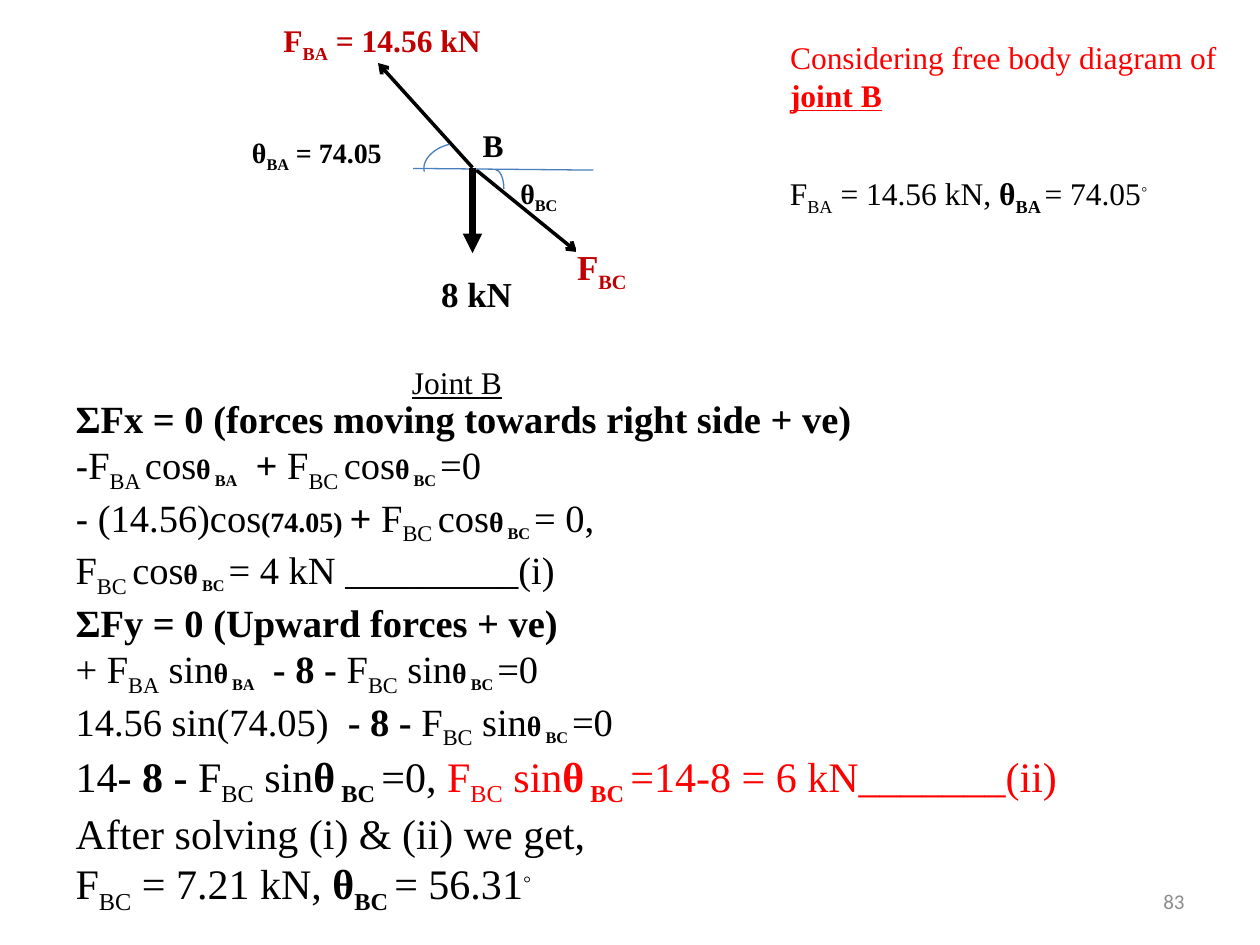
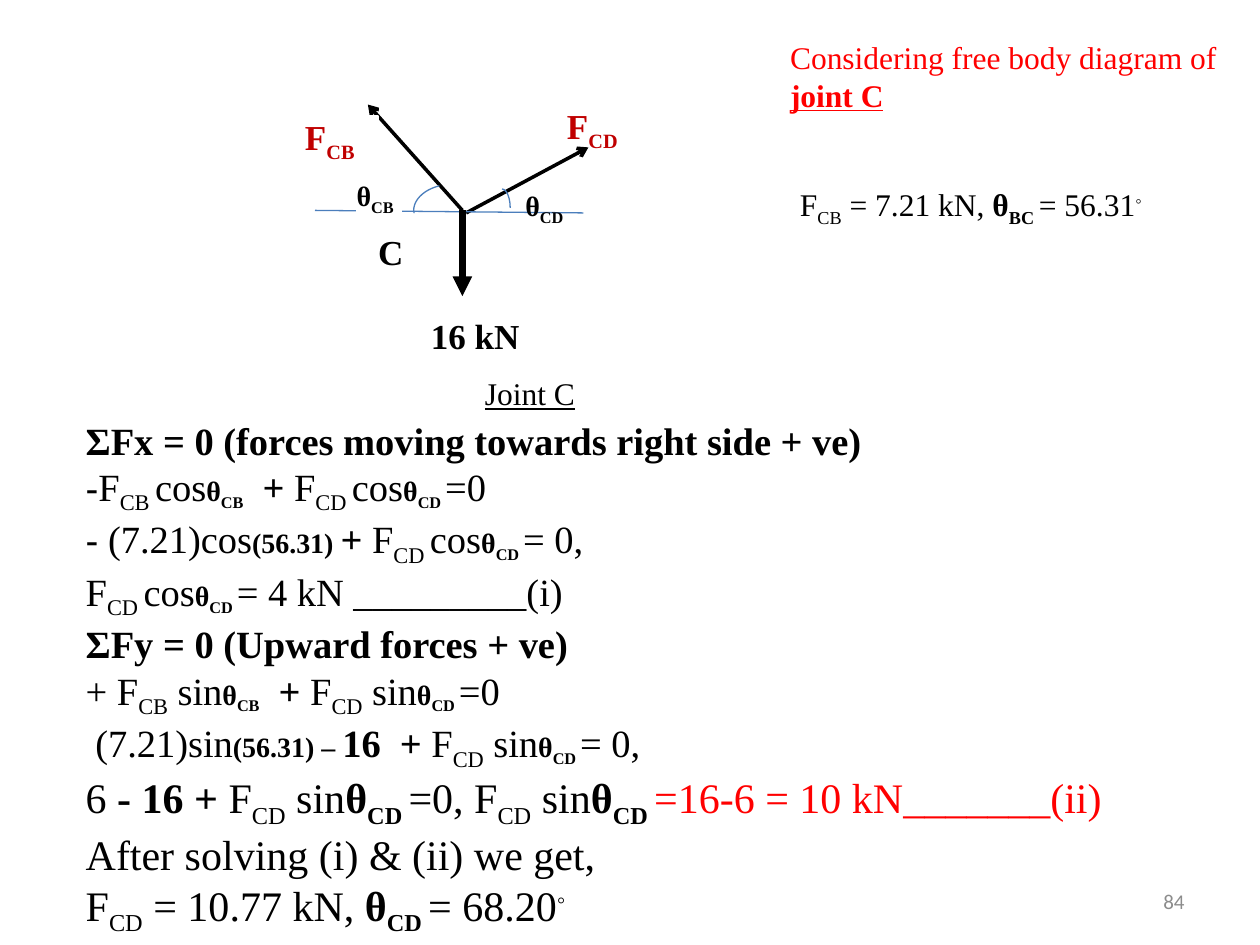
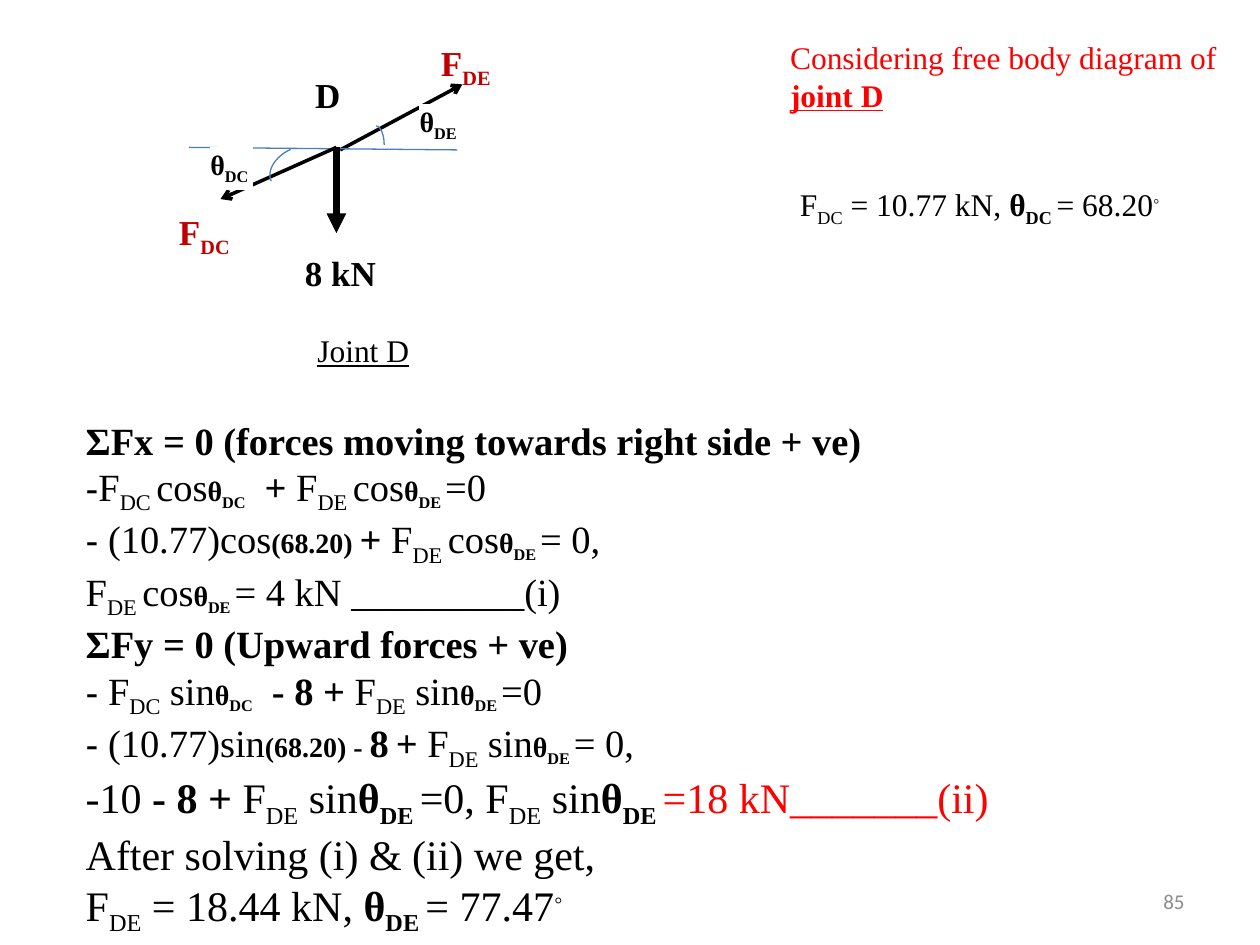
"""Build three slides that solve truss joints B, C and D by the method of joints."""
from lxml.etree import SubElement
from pptx import Presentation
from pptx.dml.color import RGBColor
from pptx.enum.shapes import MSO_CONNECTOR as Connector, MSO_SHAPE as Shape
from pptx.enum.text import MSO_ANCHOR as Anchor, MSO_AUTO_SIZE as AutoSize, PP_ALIGN as Align
from pptx.oxml.ns import qn
from pptx.util import Inches, Pt

BLACK, WHITE, RED, CRIMSON, BLUE, GREY = "000000", "FFFFFF", "FF0000", "C00000", "4B7EBC", "8C8C8C"
SERIF, SANS = "Times New Roman", "Calibri"
WIDTH, HEIGHT = 10, 7.5
FIRST_NUMBER = 83

# Text markup: <flags:text>, with b bold, u underline, s subscript, d superscript, m 16 pt, r red.
# Diagram offsets are inches from the joint; boxes are left, top, width, height.
JOINTS = [
    dict(name="B", known="BA", unknown="BC", gap=" ", load="8 kN",
         force="14.56", angle="74.05", given_angle="BA", answer=("7.21", "56.31"),
         vertical=("", "+ ", " - 8 - "),
         values=("", "14.56 sin(74.05)<mbs: ><bs: ><b: - 8 - >{sin}=0"),
         result="14<b:- 8 - >{sin_big}=0, {sin_red}<r:=14-8 = 6 kN_______(ii)>",
         known_label="F<s:BA> = 14.56 kN", known_size=18, known_angle="θ<s:BA> = 74.05", name_size=18,
         origin=(3.75, 1.33), known_tip=(-0.75, -0.83), unknown_tip=(0.83, 0.67),
         known_arc=(-0.31, -0.27, 256.7), unknown_arc=(0.12, 0.02), load_width=0.68,
         known_box=(-1.5, -1.16, 2.17, 0.3), unknown_box=(0.83, 0.62, 0.67, 0.3),
         known_angle_box=(-1.75, -0.25, 1.27, 0.33), unknown_angle_box=(0.38, 0.07, 0.36, 0.17),
         name_box=(0.08, -0.33, 0.3, 0.27), caption=(-0.58, 1.5),
         body=(0.5, 3.25), given=(6.17, 1.33)),
    dict(name="C", known="CB", unknown="CD", gap="", load="16 kN",
         force="7.21", angle="56.31", given_angle="BC", answer=("10.77", "68.20"),
         vertical=("", "+ ", " + "),
         values=("", " (7.21)sin<mb:(56.31) – ><b:16  + >{sin}= 0,"),
         result="6 <b:- 16 + >{sin_big}=0, {sin_big}<r:=16-6 = 10 kN_______(ii)>",
         known_label="F<s:CB>", known_size=20, known_angle="θ<s:CB>", name_size=20,
         origin=(3.67, 1.67), known_tip=(-0.75, -0.84), unknown_tip=(1, -0.5),
         known_arc=(-0.31, -0.28, 256.7), unknown_arc=(0.25, -0.17), load_width=0.92,
         known_box=(-1.25, -0.75, 0.58, 0.3), unknown_box=(0.83, -0.84, 0.67, 0.3),
         known_angle_box=(-0.84, -0.25, 0.36, 0.33), unknown_angle_box=(0.5, -0.17, 0.36, 0.17),
         name_box=(-0.67, 0.16, 0.42, 0.33), caption=(0.08, 1.25),
         body=(0.58, 3.42), given=(6.25, 1.42)),
    dict(name="D", known="DC", unknown="DE", gap="", load="8 kN",
         force="10.77", angle="68.20", given_angle="DC", answer=("18.44", "77.47"),
         vertical=("-", " ", " - 8 + "),
         values=("-", " (10.77)sin<mb:(68.20) - ><b:8><mb: ><b:+ >{sin}= 0,"),
         result="-10 <b:- 8 + >{sin_big}=0, {sin_big}<r:=18 kN_______(ii)>",
         known_label="F<s:DC>", known_size=20, known_angle="θ<s:DC>", name_size=20,
         origin=(2.67, 1.17), known_tip=(-0.92, 0.41), unknown_tip=(1, -0.5),
         known_arc=(-0.46, -0.08, 245.4), unknown_arc=(0.25, -0.17), load_width=0.92,
         known_box=(-1.25, 0.5, 0.58, 0.3), unknown_box=(0.83, -0.84, 0.67, 0.3),
         known_angle_box=(-1, 0, 0.33, 0.33), unknown_angle_box=(0.66, -0.34, 0.36, 0.34),
         name_box=(-0.17, -0.59, 0.42, 0.33), caption=(-0.25, 1.41),
         body=(0.58, 3.42), given=(6.25, 1.42)),
]


def rgb(value):
    return RGBColor.from_string(value)


def inches(values):
    return [Inches(value) for value in values]


def place(shape, box):
    shape.left, shape.top, shape.width, shape.height = inches(box)


def write(paragraph, markup, size=18, color=BLACK, bold=False, face=SERIF):
    for index, piece in enumerate(markup.replace(">", "<").split("<")):
        flags, text = piece.split(":", 1) if index % 2 else ("", piece)
        if not text:
            continue
        run = paragraph.add_run()
        run.text = text
        font = run.font
        font.name, font.size = face, Pt(16 if "m" in flags else size)
        font.bold = bold or "b" in flags
        font.color.rgb = rgb(RED if "r" in flags else color)
        if "u" in flags:
            font.underline = True
        for flag, baseline in (("s", "-25000"), ("d", "30000")):
            if flag in flags:
                run._r.get_or_add_rPr().set("baseline", baseline)


def term(function, member, gap, size="m", hue=""):
    after, before = (" ", "") if function == "cos" else ("", " ")
    return (f"<{hue}:F><{hue}s:{member}{after}><{hue}:{before}{function}>"
            f"<{hue}{size}b:θ><{hue}{size}bs:{gap}{member} >")


def equations(joint):
    """Return (bullet, size, markup) for every line of the working."""
    known, unknown, gap = joint["known"], joint["unknown"], joint["gap"]
    cosine = term("cos", unknown, gap)
    terms = dict(sin=term("sin", unknown, gap), sin_big=term("sin", unknown, gap, ""),
                 sin_red=term("sin", unknown, gap, "", "r"))
    bullet, sign, load = joint["vertical"]
    values_bullet, values = joint["values"]
    force, angle = joint["answer"]
    return [
        ("", 22, "<b:ΣFx = 0 (forces moving towards right side + ve)>"),
        ("-", 22, f"{term('cos', known, gap)}<bs: ><b: + >{cosine}=0"),
        ("-", 22, f" ({joint['force']})cos<mb:({joint['angle']}) ><b:+ >{cosine}= 0,"),
        ("", 22, f"{cosine}= 4 kN _________(i)"),
        ("", 22, "<b:ΣFy = 0 (Upward forces + ve)>"),
        (bullet, 22, f"{sign}{term('sin', known, gap)}<bs: ><b:{load}>{terms['sin']}=0"),
        (values_bullet, 22, values.format(**terms)),
        ("", 24, joint["result"].format(**terms)),
        ("", 24, "After solving (i) & (ii) we get,"),
        ("", 24, solution(unknown, force, unknown, angle)),
    ]


def solution(member, force, angle_member, angle):
    return f"F<s:{member}> = {force} kN, <b:θ><bs:{angle_member} >= {angle}<d:◦>"


def add_text(slide, box, markup, wrap=True, align=Align.LEFT, **style):
    frame = slide.shapes.add_textbox(*inches(box)).text_frame
    frame.word_wrap = wrap
    frame.paragraphs[0].alignment = align
    write(frame.paragraphs[0], markup, **style)
    return frame


def add_label(slide, box, markup, size, color=BLACK):
    label = slide.shapes.add_shape(Shape.RECTANGLE, *inches(box))
    label.shadow.inherit = False
    label.fill.solid()
    label.fill.fore_color.rgb = label.line.color.rgb = rgb(WHITE)
    label.line.width = Pt(0.75)
    frame = label.text_frame
    frame.margin_left = frame.margin_top = frame.margin_right = frame.margin_bottom = 0
    frame.vertical_anchor, frame.word_wrap = Anchor.TOP, True
    frame.paragraphs[0].alignment = Align.LEFT
    frame.paragraphs[0].space_after = Pt(10)
    write(frame.paragraphs[0], markup, size, color, bold=True)


def add_line(slide, start, end, color, width, head=None):
    line = slide.shapes.add_connector(Connector.STRAIGHT, *inches(start + end))
    line.line.color.rgb, line.line.width = rgb(color), Pt(width)
    if head:
        SubElement(line.line._get_or_add_ln(), qn("a:tailEnd"), type=head)
    SubElement(line._element.spPr, qn("a:effectLst"))


def add_arc(slide, box, rotation=0):
    arc = slide.shapes.add_shape(Shape.ARC, *inches(box))
    arc.shadow.inherit = False
    arc.fill.background()
    arc.line.color.rgb, arc.line.width = rgb(BLUE), Pt(0.75)
    arc.rotation = rotation


def draw_joint(slide, joint):
    left, top = joint["origin"]

    def at(x, y, *size):
        return (left + x, top + y, *size)

    add_line(slide, at(0.03, 0.02), at(*joint["unknown_tip"]), BLACK, 2, "arrow")
    add_line(slide, at(-1.17, 0), at(0.96, 0.02), BLUE, 0.75)
    add_arc(slide, at(*joint["unknown_arc"], 0.13, 0.3))
    add_label(slide, at(*joint["unknown_box"]), f"F<s:{joint['unknown']}>", 20, CRIMSON)
    add_label(slide, at(*joint["unknown_angle_box"]), f"θ<s:{joint['unknown']}>", 16)
    add_line(slide, at(0, 0), at(*joint["known_tip"]), BLACK, 2, "arrow")
    add_line(slide, at(0, 0), at(0, 0.68), BLACK, 3.75, "triangle")
    add_label(slide, at(-0.25, 0.83, joint["load_width"], 0.27), joint["load"], 20)
    add_label(slide, at(*joint["known_box"]), joint["known_label"], joint["known_size"], CRIMSON)
    add_label(slide, at(*joint["known_angle_box"]), joint["known_angle"], 16)
    *corner, rotation = joint["known_arc"]
    add_arc(slide, at(*corner, 0.33, 0.49), rotation)
    add_label(slide, at(*joint["name_box"]), joint["name"], joint["name_size"])
    add_text(slide, at(*joint["caption"], 1.17, 0.4), f"<u:Joint {joint['name']}>")


def fill_title(title, name):
    place(title, (6.17, 0.25, 3.83, 0.71))
    frame = title.text_frame
    frame.vertical_anchor, frame.auto_size = Anchor.TOP, AutoSize.SHAPE_TO_FIT_TEXT
    frame.paragraphs[0].alignment = Align.LEFT
    write(frame.paragraphs[0], f"Considering free body diagram of <bu:joint {name}>", color=RED)


def fill_body(body, joint):
    place(body, (*joint["body"], 9, 3.9))
    frame = body.text_frame
    frame.vertical_anchor, frame.auto_size = Anchor.MIDDLE, AutoSize.SHAPE_TO_FIT_TEXT
    for index, (bullet, size, markup) in enumerate(equations(joint)):
        paragraph = frame.add_paragraph() if index else frame.paragraphs[0]
        properties = paragraph._p.get_or_add_pPr()
        properties.set("marL", "0")
        properties.set("indent", "0")
        if bullet:
            SubElement(properties, qn("a:buFontTx"))
            SubElement(properties, qn("a:buChar"), char=bullet)
        else:
            SubElement(properties, qn("a:buNone"))
        paragraph.space_before = Pt(0)
        write(paragraph, markup, size)


def main():
    deck = Presentation()
    deck.slide_width, deck.slide_height = Inches(WIDTH), Inches(HEIGHT)
    for number, joint in enumerate(JOINTS, FIRST_NUMBER):
        slide = deck.slides.add_slide(deck.slide_layouts[1])
        fill_body(slide.placeholders[1], joint)
        fill_title(slide.shapes.title, joint["name"])
        draw_joint(slide, joint)
        add_text(slide, (*joint["given"], 3.2, 0.4),
                 solution(joint["known"], joint["force"], joint["given_angle"], joint["angle"]), wrap=False)
        footer = add_text(slide, (7.17, 6.95, 2.33, 0.4), str(number), align=Align.RIGHT,
                          size=12, color=GREY, face=SANS)
        footer.vertical_anchor = Anchor.MIDDLE
    deck.save("out.pptx")


if __name__ == "__main__":
    main()
